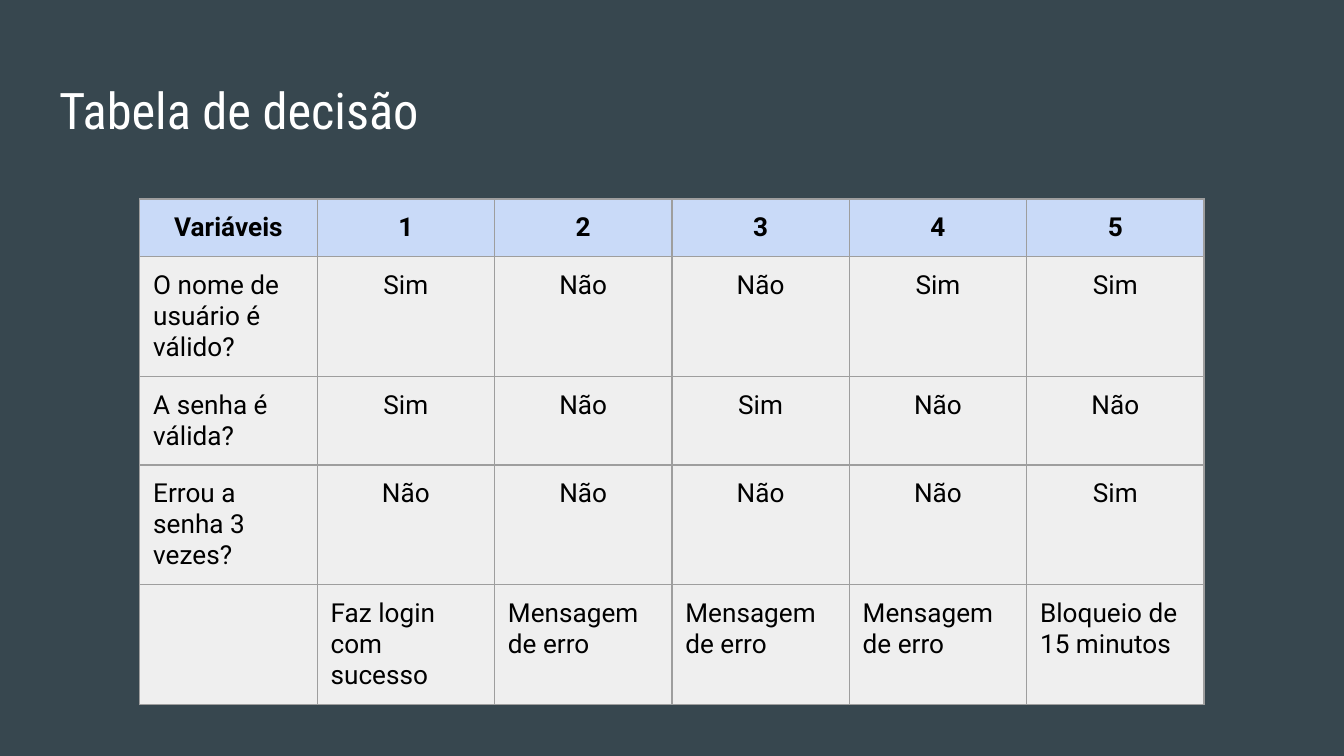
from dataclasses import dataclass

from lxml.etree import SubElement
from pptx import Presentation
from pptx.dml.color import RGBColor
from pptx.enum.text import MSO_ANCHOR, MSO_AUTO_SIZE, PP_ALIGN
from pptx.oxml.ns import qn
from pptx.slide import Slide
from pptx.table import _Cell
from pptx.text.text import _Paragraph
from pptx.util import Inches, Pt


@dataclass(frozen=True)
class Theme:
    background: str = "37474F"
    title_color: str = "FFFFFF"
    text_color: str = "000000"
    header_fill: str = "C9DAF8"
    body_fill: str = "EFEFEF"
    border_color: str = "9E9E9E"
    title_font: str = "Roboto Condensed"
    body_font: str = "Roboto"
    title_size: float = 27
    body_size: float = 14
    border_width: float = 0.75


@dataclass(frozen=True)
class TableRow:
    label: str
    values: tuple[str, ...]
    centered: bool = True
    header: bool = False


THEME = Theme()
PAGE_WIDTH = Inches(10)
PAGE_HEIGHT = PAGE_WIDTH * 9 // 16  # widescreen
INSET = Inches(0.1)
COLUMN_WIDTH = Inches(1.32)
ROW_HEIGHT = Inches(0.42)  # minimum: rows grow with their text

ROWS = (
    TableRow("Variáveis", ("1", "2", "3", "4", "5"), header=True),
    TableRow("O nome de usuário é válido?", ("Sim", "Não", "Não", "Sim", "Sim")),
    TableRow("A senha é válida?", ("Sim", "Não", "Sim", "Não", "Não")),
    TableRow("Errou a senha 3 vezes?", ("Não", "Não", "Não", "Não", "Sim")),
    TableRow(
        "",
        ("Faz login com sucesso", *("Mensagem de erro",) * 3, "Bloqueio de 15 minutos"),
        centered=False,
    ),
)


def add_span(para: _Paragraph, text: str, font: str, size: float, color: str,
             bold: bool = False) -> None:
    span = para.add_run()
    span.text = text
    span.font.name = font
    span.font.size = Pt(size)
    span.font.bold = bold
    span.font.color.rgb = RGBColor.from_string(color)


def add_borders(cell: _Cell) -> None:
    """Outline all four sides; border lines must precede the cell fill."""
    properties = cell._tc.get_or_add_tcPr()
    for side in ("a:lnL", "a:lnR", "a:lnT", "a:lnB"):
        line = SubElement(properties, qn(side), w=str(Pt(THEME.border_width)))
        fill = SubElement(line, qn("a:solidFill"))
        SubElement(fill, qn("a:srgbClr"), val=THEME.border_color)


def format_cell(cell: _Cell, text: str, centered: bool, header: bool) -> None:
    add_borders(cell)
    cell.fill.solid()
    cell.fill.fore_color.rgb = RGBColor.from_string(
        THEME.header_fill if header else THEME.body_fill)
    cell.margin_left = cell.margin_right = INSET
    cell.margin_top = cell.margin_bottom = INSET
    if text:
        para = cell.text_frame.paragraphs[0]
        para.alignment = PP_ALIGN.CENTER if centered else PP_ALIGN.LEFT
        add_span(para, text, THEME.body_font, THEME.body_size,
                 THEME.text_color, bold=header)


def add_title(page: Slide, text: str) -> None:
    box = page.shapes.title
    box.left, box.top = Inches(0.34), Inches(0.49)
    box.width, box.height = Inches(9.32), Inches(0.63)
    frame = box.text_frame
    frame.word_wrap = True
    frame.auto_size = MSO_AUTO_SIZE.NONE
    frame.vertical_anchor = MSO_ANCHOR.TOP
    frame.margin_left = frame.margin_right = INSET
    frame.margin_top = frame.margin_bottom = INSET
    para = frame.paragraphs[0]
    para.alignment = PP_ALIGN.LEFT
    add_span(para, text, THEME.title_font, THEME.title_size, THEME.title_color)


def add_decision_table(page: Slide, rows: tuple[TableRow, ...]) -> None:
    column_count = 1 + len(rows[0].values)
    table = page.shapes.add_table(
        len(rows), column_count, Inches(1.04), Inches(1.48),
        COLUMN_WIDTH * column_count, ROW_HEIGHT * len(rows)).table
    table.horz_banding = False
    for column in table.columns:
        column.width = COLUMN_WIDTH
    for row_index, row in enumerate(rows):
        table.rows[row_index].height = ROW_HEIGHT
        format_cell(table.cell(row_index, 0), row.label, row.header, row.header)
        for column_index, value in enumerate(row.values, start=1):
            format_cell(table.cell(row_index, column_index), value,
                        row.centered, row.header)


def main() -> None:
    # Page and background
    deck = Presentation()
    deck.slide_width, deck.slide_height = PAGE_WIDTH, PAGE_HEIGHT
    page = deck.slides.add_slide(deck.slide_layouts.get_by_name("Title Only"))
    page.background.fill.solid()
    page.background.fill.fore_color.rgb = RGBColor.from_string(THEME.background)

    # Content
    add_title(page, "Tabela de decisão")
    add_decision_table(page, ROWS)
    deck.save("out.pptx")


if __name__ == "__main__":
    main()
